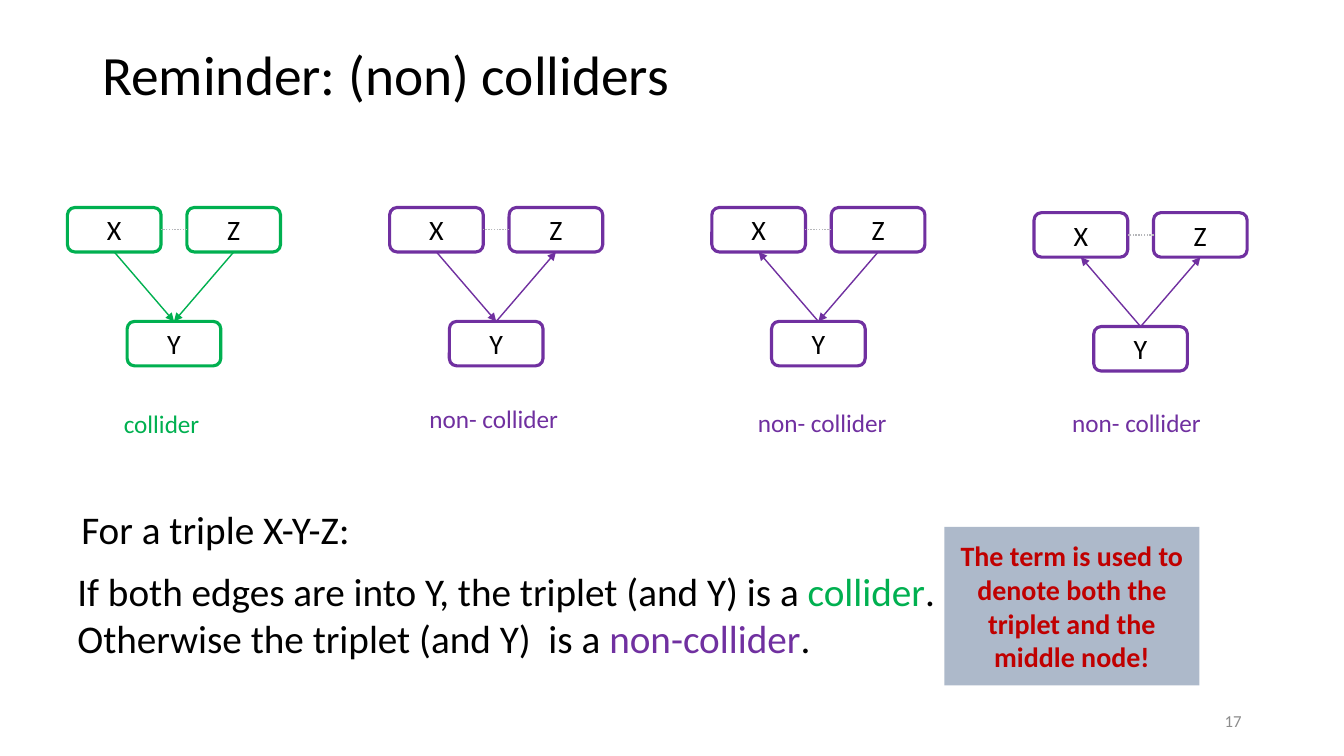
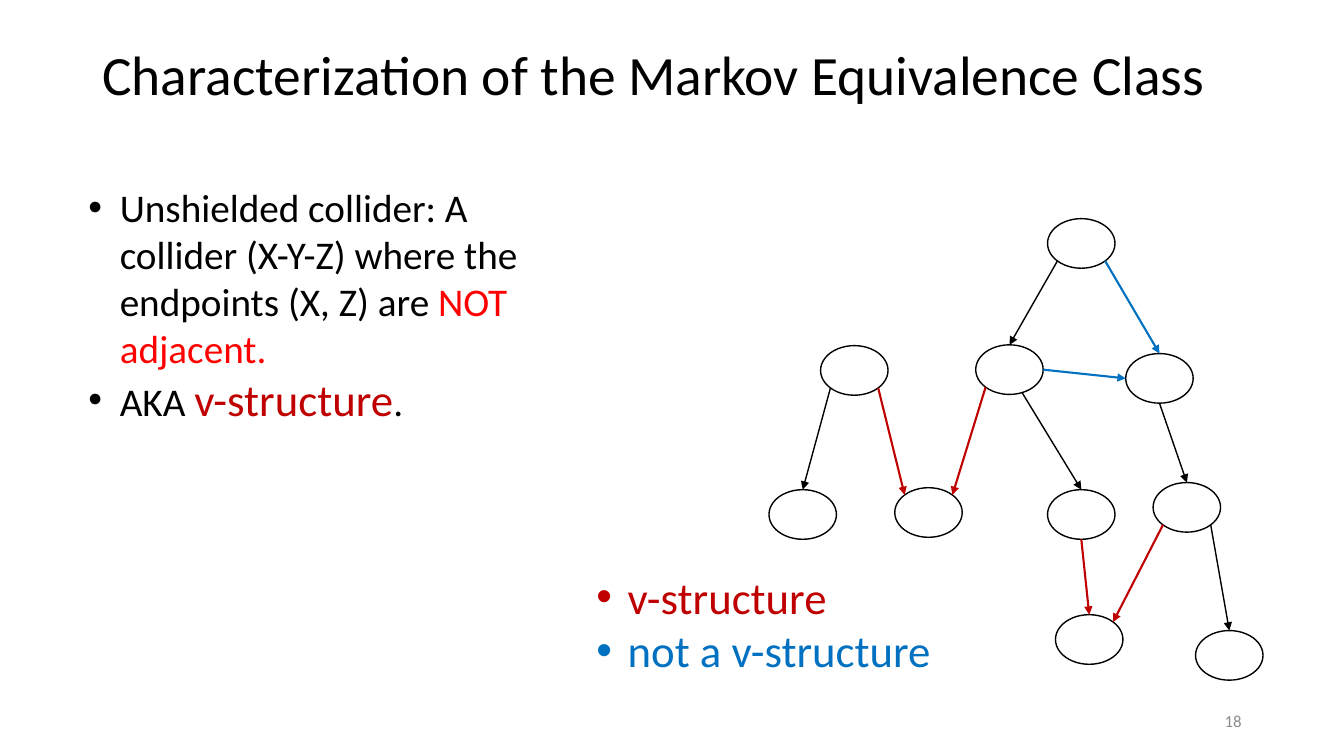
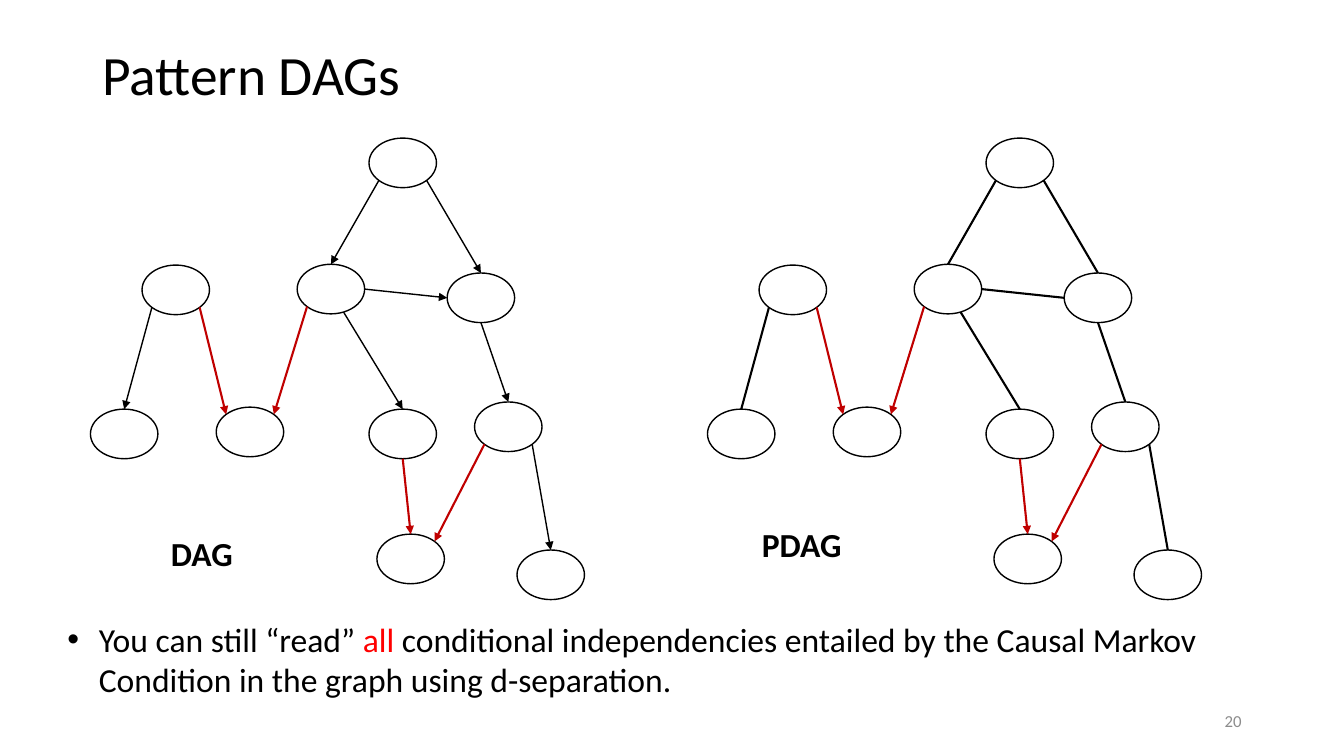
import math
from dataclasses import dataclass

from lxml import etree
from pptx import Presentation
from pptx import util as u
from pptx.dml.color import RGBColor
from pptx.enum import dml, shapes, text
from pptx.oxml import ns


@dataclass(frozen=True)
class Theme:
    font: str = "Calibri"
    black: str = "000000"
    white: str = "FFFFFF"
    gray: str = "8C8C8C"
    dotted: str = "B6B7BA"
    green: str = "00B050"
    purple: str = "7030A0"
    crimson: str = "C00000"
    red: str = "FF0000"
    blue: str = "0070C0"
    panel: str = "ADB9CA"
    title: float = 39.6
    term: float = 32
    body: float = 28
    note: float = 24
    node: float = 20
    label: float = 18
    number: float = 12
    thin: float = 1
    medium: float = 1.5
    thick: float = 2.25


T = Theme()
RECT = shapes.MSO_SHAPE.RECTANGLE
ROUNDED = shapes.MSO_SHAPE.ROUNDED_RECTANGLE
OVAL = shapes.MSO_SHAPE.OVAL


def add_text(s, box, content, kind=None, size=T.body, color=T.black, bold=False,
             align="LEFT", anchor="TOP", spacing=None, bullet=False,
             fill=None, line=None, weight=T.thin):
    """Content is a string, or paragraphs of (text, color, size) runs, the last two optional."""
    lengths = [u.Cm(v) for v in box]
    if kind is None:
        sp = s.shapes.add_textbox(*lengths)
    else:
        sp = s.shapes.add_shape(kind, *lengths)
        sp.shadow.inherit = False
        sp.fill.solid()
        sp.fill.fore_color.rgb = RGBColor.from_string(fill)
        if line:
            sp.line.color.rgb = RGBColor.from_string(line)
            sp.line.width = u.Pt(weight)
        else:
            sp.line.fill.background()
    tf = sp.text_frame
    tf.word_wrap = True
    tf.vertical_anchor = text.MSO_ANCHOR[anchor]
    paragraphs = [[(content,)]] if isinstance(content, str) else content
    for i, runs in enumerate(paragraphs):
        p = tf.add_paragraph() if i else tf.paragraphs[0]
        p.alignment = text.PP_ALIGN[align]
        if spacing:
            p.line_spacing = spacing
        if bullet:
            pPr = p._p.get_or_add_pPr()
            pPr.set("marL", str(u.Cm(0.79)))
            pPr.set("indent", str(-u.Cm(0.79)))
            etree.SubElement(pPr, ns.qn("a:buFont")).set("typeface", "Arial")
            etree.SubElement(pPr, ns.qn("a:buChar")).set("char", "•")
        for words, *own in runs:
            r = p.add_run()
            r.text = words
            r.font.name = T.font
            r.font.bold = bold
            r.font.color.rgb = RGBColor.from_string(own[0] if own else color)
            r.font.size = u.Pt(own[1] if len(own) > 1 else size)


def add_line(s, start, end, color, weight=T.thin, arrow=True, dotted=False):
    cx = s.shapes.add_connector(shapes.MSO_CONNECTOR.STRAIGHT,
                                *[u.Cm(v) for v in (*start, *end)])
    cx.line.color.rgb = RGBColor.from_string(color)
    cx.line.width = u.Pt(weight)
    if dotted:
        cx.line.dash_style = dml.MSO_LINE.ROUND_DOT
    if arrow:
        etree.SubElement(cx.line._get_or_add_ln(), ns.qn("a:tailEnd")).set("type", "triangle")
    etree.SubElement(cx._element.spPr, ns.qn("a:effectLst"))


prs = Presentation()
prs.slide_width, prs.slide_height = u.Cm(33.87), u.Cm(19.05)

# Titles and page numbers
slides = []
for title, number in [("Reminder: (non) colliders", "17"),
                      ("Characterization of the Markov Equivalence Class", "18"),
                      ("Pattern DAGs", "20")]:
    s = prs.slides.add_slide(prs.slide_layouts[6])
    add_text(s, (2.33, 1.02, 29.21, 1.85), title, size=T.title, anchor="MIDDLE", spacing=0.9)
    add_text(s, (23.92, 17.65, 7.62, 1.02), number, size=T.number, color=T.gray,
             align="RIGHT", anchor="MIDDLE")
    slides.append(s)
colliders, markov, patterns = slides

# Colliders: definition and callout
add_text(colliders, (1.8, 12.62, 30.68, 1.45), "For a triple X-Y-Z:")
add_text(colliders, (1.7, 14.17, 30.68, 2.64), [
    [("If both edges are into Y, the triplet (and Y) is a ",), ("collider", T.green), (".",)],
    [("Otherwise the triplet (and Y)  is a ",), ("non-collider", T.purple), (".",)]])
add_text(colliders, (23.8, 13.28, 6.43, 3.99),
         "The term is used to denote both the triplet and the middle node!",
         kind=RECT, fill=T.panel, size=T.node, color=T.crimson, bold=True,
         align="CENTER", anchor="MIDDLE")

# Colliders: four triples, with the direction of the edges X-Y and Z-Y
BOX_W, BOX_H, Z_DX, Y_DY = 2.36, 1.12, 3.01, 2.87
for i, (label, color, top, label_at, x_into_y, z_into_y) in enumerate([
        ("collider", T.green, 5.23, (2.87, 10.16), True, True),
        ("non- collider", T.purple, 5.23, (10.57, 10.03), True, False),
        ("non- collider", T.purple, 5.23, (18.85, 10.13), False, True),
        ("non- collider", T.purple, 5.36, (26.77, 10.13), False, False)]):
    left = 1.7 + 8.12 * i
    for name, dx, dy in [("X", 0, 0), ("Z", Z_DX, 0), ("Y", Z_DX / 2, Y_DY)]:
        add_text(colliders, (left + dx, top + dy, BOX_W, BOX_H), name, kind=ROUNDED,
                 fill=T.white, line=color, weight=T.thick, size=T.node,
                 align="CENTER", anchor="MIDDLE")
    y_top = (left + (Z_DX + BOX_W) / 2, top + Y_DY)
    for dx, into_y in [(0, x_into_y), (Z_DX, z_into_y)]:
        ends = [(left + dx + BOX_W / 2, top + BOX_H), y_top]
        add_line(colliders, *(ends if into_y else ends[::-1]), color)
    middle = top + BOX_H / 2
    add_line(colliders, (left + Z_DX, middle), (left + BOX_W, middle), T.dotted,
             arrow=False, dotted=True)
    add_text(colliders, (*label_at, 3.86, 1.02), label, size=T.label, color=color)

# Graph: node corners, and edges with the angle (clockwise from right) at each end
NODE_W, NODE_H = 1.7, 1.25
NODES = {"root": (7.02, 0), "left": (1.3, 3.2), "mid": (5.21, 3.18), "right": (8.99, 3.4),
         "leaf": (0, 6.83), "sink": (3.17, 6.78), "inner": (7.02, 6.83),
         "outer": (9.68, 6.65), "low sink": (7.22, 9.98), "low leaf": (10.75, 10.38)}
EDGES = [("root", 135, "mid", 270, "plain"), ("root", 45, "right", 270, "shielded"),
         ("mid", 0, "right", 180, "shielded"), ("mid", 68, "inner", 270, "plain"),
         ("left", 135, "leaf", 270, "plain"), ("right", 90, "outer", 270, "plain"),
         ("outer", 45, "low leaf", 270, "plain"), ("left", 45, "sink", 225, "v"),
         ("mid", 135, "sink", 315, "v"), ("inner", 90, "low sink", 270, "v"),
         ("outer", 135, "low sink", 315, "v")]
ARROW = (T.black, T.thin, True)
UNDIRECTED = (T.black, T.medium, False)
for s, left, top, plain, shielded in [
        (markov, 19.38, 5.51, ARROW, (T.blue, T.medium, True)),
        (patterns, 17.83, 3.48, UNDIRECTED, UNDIRECTED),
        (patterns, 2.28, 3.48, ARROW, ARROW)]:
    styles = {"plain": plain, "shielded": shielded, "v": (T.crimson, T.medium, True)}
    for x, y in NODES.values():
        add_text(s, (left + x, top + y, NODE_W, NODE_H), [], kind=OVAL,
                 fill=T.white, line=T.black)
    for tail, tail_angle, head, head_angle, style in EDGES:
        ends = []
        for node, angle in [(tail, tail_angle), (head, head_angle)]:
            x, y = NODES[node]
            a = math.radians(angle)
            ends.append((left + x + NODE_W / 2 * (1 + math.cos(a)),
                         top + y + NODE_H / 2 * (1 + math.sin(a))))
        add_line(s, *ends, *styles[style])

# Markov equivalence: key and definition
add_text(markov, (14.78, 14.22, 12.73, 3), [
    [("v-structure", T.crimson)], [("not a v-structure", T.blue)]], size=T.term, bullet=True)
add_text(markov, (1.98, 4.5, 12.24, 6.4), [
    [("Unshielded collider: A collider (X-Y-Z) where the endpoints (X, Z) are ",),
     ("NOT adjacent.", T.red)],
    [("AKA ",), ("v-structure", T.crimson, T.term), (".",)]], bullet=True)

# Pattern DAGs: labels and remark
add_text(patterns, (4.06, 13.31, 2.54, 1.27), "DAG", size=T.note, bold=True)
add_text(patterns, (18.95, 13.08, 5.18, 1.27), "PDAG", size=T.note, bold=True)
add_text(patterns, (1.45, 15.47, 30.48, 3.33), [
    [("You can still “read” ",), ("all ", T.red),
     ("conditional independencies entailed by the Causal Markov Condition "
      "in the graph using d-separation.",)]], size=T.note, bullet=True)

prs.save("out.pptx")
